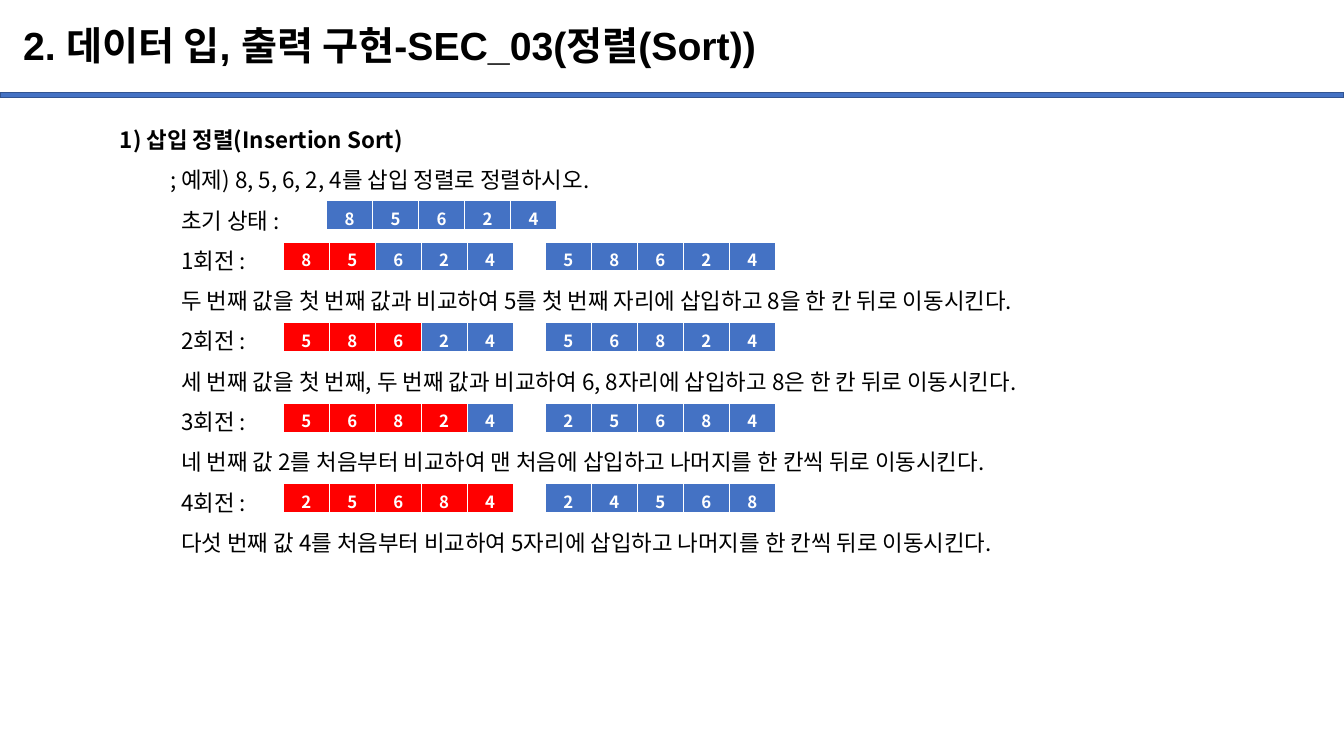
from pptx import Presentation
from pptx.dml.color import RGBColor
from pptx.enum.shapes import MSO_SHAPE as Shape
from pptx.enum.text import MSO_ANCHOR as Anchor, MSO_AUTO_SIZE as Auto, PP_ALIGN as Align
from pptx.oxml import parse_xml
from pptx.oxml.ns import nsdecls
from pptx.util import Inches, Pt

BLUE, RED, WHITE, BLACK = "4472C4", "FF0000", "FFFFFF", "000000"
KOREAN = "Noto Sans CJK KR"


def paint(target, tone):
    if hasattr(target, "solid"):
        target.solid()
        target = target.fore_color
    target.rgb = RGBColor.from_string(tone)


def write(para, text, tone, align=Align.LEFT, **look):
    para.alignment = align
    run = para.add_run()
    run.text = text
    for key, value in look.items():
        setattr(run.font, key, value)
    paint(run.font.fill, tone)
    run.font._element.append(parse_xml(f'<a:ea {nsdecls("a")} typeface="{KOREAN}"/>'))


deck = Presentation()
deck.slide_width, deck.slide_height = Inches(13.33), Inches(7.5)
slide = deck.slides.add_slide(deck.slide_layouts[5])
shapes = slide.shapes

bar = shapes.add_shape(Shape.RECTANGLE, 0, Inches(0.92), deck.slide_width, Inches(0.05))
bar.shadow.inherit = False
bar.line.width = Pt(1)
paint(bar.fill, BLUE)
paint(bar.line.fill, "325491")

title = shapes.title
place = {"left": 0.13, "top": 0.1, "width": 11.5, "height": 0.74}
for key, value in place.items():
    setattr(title, key, Inches(value))
frame = title.text_frame
form = {"word_wrap": True, "auto_size": Auto.NONE, "vertical_anchor": Anchor.MIDDLE}
for key, value in form.items():
    setattr(frame, key, value)
head = frame.paragraphs[0]
head.line_spacing = 0.9
write(head, "2. 데이터 입, 출력 구현-SEC_03(정렬(Sort))", BLACK,
      name="Arial", size=Pt(28), bold=True)

lines = [
    (0, "1) 삽입 정렬(Insertion Sort)"),
    (0.5, "; 예제) 8, 5, 6, 2, 4를 삽입 정렬로 정렬하시오."),
    (0.61, "초기 상태 :"),
    (0.61, "1회전 :"),
    (0.61, "두 번째 값을 첫 번째 값과 비교하여 5를 첫 번째 자리에 삽입하고 8을 한 칸 뒤로 이동시킨다."),
    (0.61, "2회전 :"),
    (0.61, "세 번째 값을 첫 번째, 두 번째 값과 비교하여 6, 8자리에 삽입하고 8은 한 칸 뒤로 이동시킨다."),
    (0.61, "3회전 :"),
    (0.61, "네 번째 값 2를 처음부터 비교하여 맨 처음에 삽입하고 나머지를 한 칸씩 뒤로 이동시킨다."),
    (0.61, "4회전 :"),
    (0.61, "다섯 번째 값 4를 처음부터 비교하여 5자리에 삽입하고 나머지를 한 칸씩 뒤로 이동시킨다."),
]
body = shapes.add_textbox(Inches(1.09), Inches(1.07), Inches(11.72), Inches(5.76)).text_frame
body.word_wrap = True
for at, (indent, text) in enumerate(lines):
    para = body.add_paragraph() if at else body.paragraphs[0]
    para.line_spacing = 1.5
    para._p.get_or_add_pPr().set("marL", str(Inches(indent)))
    write(para, text, BLACK, name=KOREAN, size=Pt(16), bold=at == 0)

start = [8, 5, 6, 2, 4]
grids = [(3.24, 1.99, start, 0)]
for turn in range(1, len(start)):
    top = 1.6 + 0.8 * turn
    old = sorted(start[:turn]) + start[turn:]
    new = sorted(start[:turn + 1]) + start[turn + 1:]
    grids += [(2.81, top, old, turn + 1), (5.41, top, new, 0)]

edges = {"lnL": 1, "lnR": 1, "lnT": 1, "lnB": 3}
for left, top, row, marked in grids:
    table = shapes.add_table(1, len(row), Inches(left), Inches(top),
                             Inches(2.28), Inches(0.3)).table
    table.first_row = table.horz_banding = False
    for at, (cell, value) in enumerate(zip(table.rows[0].cells, row)):
        cell.margin_bottom = 0
        for edge, width in edges.items():
            cell._tc.get_or_add_tcPr().append(parse_xml(
                f'<a:{edge} {nsdecls("a")} w="{Pt(width)}"><a:solidFill>'
                f'<a:srgbClr val="{WHITE}"/></a:solidFill></a:{edge}>'))
        paint(cell.fill, RED if at < marked else BLUE)
        write(cell.text_frame.paragraphs[0], str(value), WHITE, Align.CENTER,
              name=KOREAN, size=Pt(12), bold=True)

deck.save("out.pptx")
